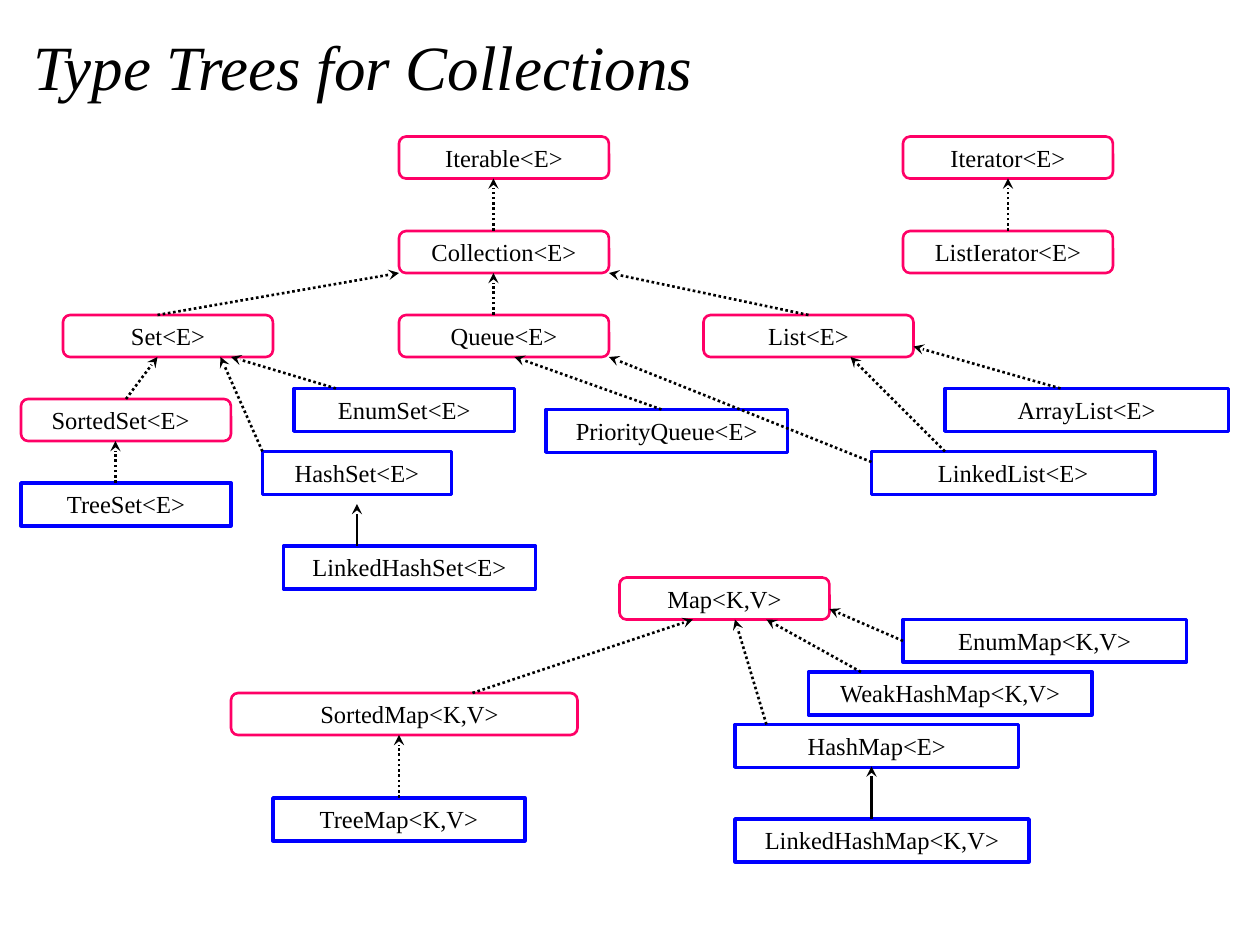
from lxml.etree import SubElement
from pptx import Presentation
from pptx.dml.color import RGBColor
from pptx.enum.dml import MSO_LINE
from pptx.enum.shapes import MSO_CONNECTOR as Connector, MSO_SHAPE as Shape
from pptx.enum.text import MSO_ANCHOR as Anchor, MSO_AUTO_SIZE as AutoSize, PP_ALIGN as Align
from pptx.oxml.ns import qn
from pptx.util import Inches, Pt

BLACK = RGBColor(0x00, 0x00, 0x00)
PINK = RGBColor(0xFF, 0x00, 0x66)
BLUE = RGBColor(0x00, 0x00, 0xFF)

COLUMNS, ROWS = 120, 90
CELL = Inches(10) / COLUMNS
NODE_ROWS = 4
LABEL_HEIGHT = Inches(0.34)

TITLE_FONT = {"name": "Times New Roman", "size": Pt(36), "italic": True}
LABEL_FONT = {"name": "Times New Roman", "size": Pt(14)}
TITLE_FRAME = {"word_wrap": True, "vertical_anchor": Anchor.MIDDLE}
LABEL_FRAME = {"word_wrap": True, "vertical_anchor": Anchor.TOP,
               "auto_size": AutoSize.SHAPE_TO_FIT_TEXT}

# name: (column, row, columns wide[, label column, label columns wide])
ITERATOR_INTERFACES = {
    "Iterator<E>": (0, 0, 20),
    "ListIerator<E>": (0, 9, 20),
}
ITERATOR_LINKS = [("ListIerator<E>", (10, 0), "Iterator<E>", (10, 4))]

COLLECTION_INTERFACES = {
    "Iterable<E>": (36, 0, 20),
    "Collection<E>": (36, 9, 20),
    "Set<E>": (4, 17, 20),
    "Queue<E>": (36, 17, 20),
    "List<E>": (65, 17, 20),
    "SortedSet<E>": (0, 25, 20, 0, 19),
}
COLLECTION_CLASSES = {
    "ArrayList<E>": (88, 24, 27),
    "PriorityQueue<E>": (50, 26, 23),
    "HashSet<E>": (23, 30, 18),
    "EnumSet<E>": (26, 24, 21),
    "LinkedHashSet<E>": (25, 39, 24),
    "TreeSet<E>": (0, 33, 20),
    "LinkedList<E>": (81, 30, 27),
}
COLLECTION_LINKS = [
    ("Collection<E>", (9, 0), "Iterable<E>", (9, 4)),
    ("Set<E>", (9, 0), "Collection<E>", (0, 4)),
    ("Queue<E>", (9, 0), "Collection<E>", (9, 4)),
    ("List<E>", (10, 0), "Collection<E>", (20, 4)),
    ("SortedSet<E>", (10, 0), "Set<E>", (9, 4)),
    ("EnumSet<E>", (4, 0), "Set<E>", (16, 4)),
    ("HashSet<E>", (0, 0), "Set<E>", (15, 4)),
    ("LinkedHashSet<E>", (7, 0), "HashSet<E>", (9, 5)),
    ("TreeSet<E>", (9, 0), "SortedSet<E>", (9, 4)),
    ("PriorityQueue<E>", (11, 0), "Queue<E>", (11, 4)),
    ("LinkedList<E>", (7, 0), "List<E>", (14, 4)),
    ("LinkedList<E>", (0, 1), "Queue<E>", (20, 4)),
    ("ArrayList<E>", (11, 0), "List<E>", (20, 3)),
]

MAP_INTERFACES = {
    "Map<K,V>": (37, 0, 20),
    "SortedMap<K,V>": (0, 11, 33, 3, 28),
}
MAP_CLASSES = {
    "EnumMap<K,V>": (64, 4, 27),
    "WeakHashMap<K,V>": (55, 9, 27),
    "TreeMap<K,V>": (4, 21, 24),
    "HashMap<E>": (48, 14, 27),
    "LinkedHashMap<K,V>": (48, 23, 28),
}
MAP_LINKS = [
    ("WeakHashMap<K,V>", (5, 0), "Map<K,V>", (14, 4)),
    ("EnumMap<K,V>", (0, 2), "Map<K,V>", (20, 3)),
    ("SortedMap<K,V>", (23, 0), "Map<K,V>", (7, 4)),
    ("TreeMap<K,V>", (12, 0), "SortedMap<K,V>", (16, 4)),
    ("HashMap<E>", (3, 0), "Map<K,V>", (11, 4)),
    ("LinkedHashMap<K,V>", (13, 0), "HashMap<E>", (13, 4)),
]


def cells(*counts):
    return [round(count * CELL) for count in counts]


def apply(target, values):
    for name, value in values.items():
        setattr(target, name, value)


def write(shape, text, frame_values, font_values, alignment):
    apply(shape.text_frame, frame_values)
    paragraph = shape.text_frame.paragraphs[0]
    paragraph.alignment = alignment
    run = paragraph.add_run()
    run.text = text
    apply(run.font, font_values)
    run.font.color.rgb = BLACK


def add_title(slide, box, text):
    write(slide.shapes.add_textbox(*cells(*box)), text, TITLE_FRAME, TITLE_FONT, Align.LEFT)


def add_outline(slide, preset, box, color, width):
    shape = slide.shapes.add_shape(preset, *box)
    shape.shadow.inherit = False
    shape.fill.background()
    shape.line.color.rgb = color
    shape.line.width = Pt(width)
    return shape


def add_interface(slide, name, column, row, width, label_column=None, label_width=None):
    outline = add_outline(slide, Shape.FLOWCHART_ALTERNATE_PROCESS,
                          cells(column, row, width, NODE_ROWS), PINK, 1.5)
    left, top, label_size = cells(column if label_column is None else label_column,
                                  row, label_width or width)
    label = slide.shapes.add_textbox(left, top, label_size, LABEL_HEIGHT)
    write(label, name, LABEL_FRAME, LABEL_FONT, Align.CENTER)
    return outline


def add_class(slide, name, column, row, width):
    shape = add_outline(slide, Shape.RECTANGLE,
                        (*cells(column, row, width), LABEL_HEIGHT), BLUE, 2)
    write(shape, name, LABEL_FRAME, LABEL_FONT, Align.CENTER)
    return shape


def side_at(width, point):
    middles = [(width / 2, 0), (0, NODE_ROWS / 2), (width / 2, NODE_ROWS), (width, NODE_ROWS / 2)]
    return middles.index(point) if point in middles else None


def add_arrow(slide, start, end, dotted):
    arrow = slide.shapes.add_connector(Connector.STRAIGHT, *cells(*start, *end))
    arrow.line.color.rgb = BLACK
    arrow.line.width = Pt(1.5)
    if dotted:
        arrow.line.dash_style = MSO_LINE.ROUND_DOT
    properties = arrow._element.spPr
    SubElement(properties.find(qn("a:ln")), qn("a:tailEnd"), type="stealth")
    SubElement(properties, qn("a:effectLst"))
    return arrow


def add_tree(slide, origin, interfaces, classes, links):
    left, top = origin
    nodes = {}
    for members, add_node in ((interfaces, add_interface), (classes, add_class)):
        for name, (column, row, width, *label) in members.items():
            if label:
                label[0] += left
            shape = add_node(slide, name, left + column, top + row, width, *label)
            nodes[name] = shape, left + column, top + row, width
    for child, start, parent, end in links:
        child_shape, child_column, child_row, child_width = nodes[child]
        parent_shape, parent_column, parent_row, parent_width = nodes[parent]
        arrow = add_arrow(slide, (child_column + start[0], child_row + start[1]),
                          (parent_column + end[0], parent_row + end[1]), parent in interfaces)
        for connect, shape, side in (
            (arrow.begin_connect, child_shape, side_at(child_width, start)),
            (arrow.end_connect, parent_shape, side_at(parent_width, end)),
        ):
            if side is not None:
                connect(shape, side)


def main():
    presentation = Presentation()
    presentation.slide_width, presentation.slide_height = cells(COLUMNS, ROWS)
    slide = presentation.slides.add_slide(presentation.slide_layouts[6])
    add_title(slide, (2, 2.5, 108, 7.5), "Type Trees for Collections")
    add_tree(slide, (2, 13), COLLECTION_INTERFACES, COLLECTION_CLASSES, COLLECTION_LINKS)
    add_tree(slide, (86, 13), ITERATOR_INTERFACES, {}, ITERATOR_LINKS)
    add_tree(slide, (22, 55), MAP_INTERFACES, MAP_CLASSES, MAP_LINKS)
    presentation.save("out.pptx")


if __name__ == "__main__":
    main()
